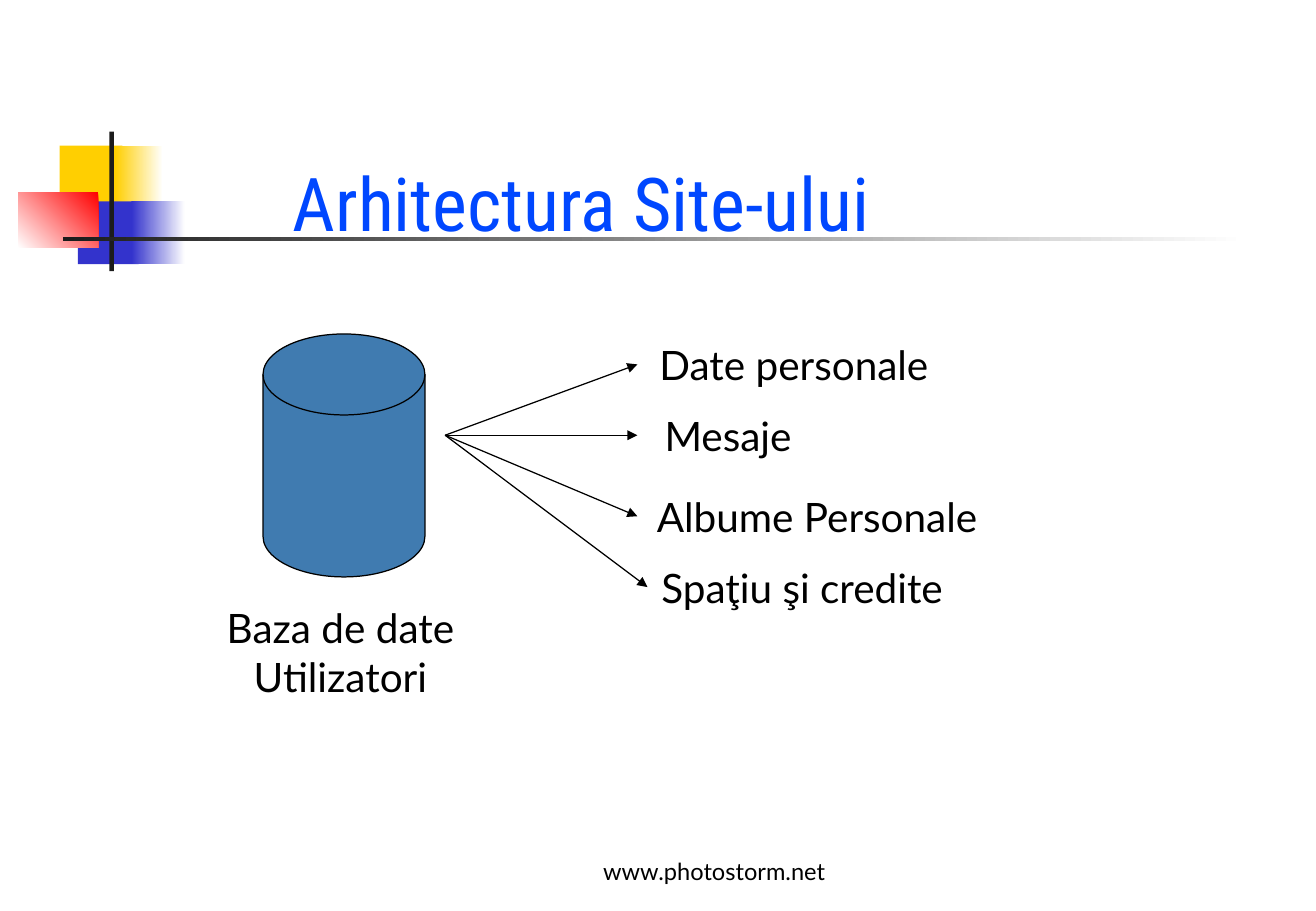
from pptx import Presentation
from pptx.dml.color import RGBColor
from pptx.enum.shapes import MSO_CONNECTOR as Connector, MSO_SHAPE as Shape
from pptx.enum.text import MSO_ANCHOR as Anchor, PP_ALIGN as Align
from pptx.oxml.ns import qn
from pptx.util import Inches, Pt
from lxml.etree import SubElement

WHITE = RGBColor(0xFF, 0xFF, 0xFF)
BLACK = RGBColor(0, 0, 0)
YELLOW = RGBColor(0xFF, 0xCF, 0x01)
INDIGO = RGBColor(0x33, 0x33, 0xCC)
RED = RGBColor(0xFF, 0, 0)
CHARCOAL = RGBColor(0x1C, 0x1C, 0x1C)
TITLE_BLUE = RGBColor(0, 0x47, 0xFF)
DISK_BLUE = RGBColor(0x40, 0x7B, 0xB0)

TITLE = "Arhitectura Site-ului"
DATABASE = ["Baza de date", "Utilizatori"]
FOOTER = "www.photostorm.net"

# text, arrow end (column, row), label column, label width
BRANCHES = [
    ("Date personale", (63, 36), 64, 31),
    ("Mesaje", (63, 43), 64.5, 15.7),
    ("Albume Personale", (63, 51), 63.75, 36.6),
    ("Spaţiu şi credite", (64, 58), 64.2, 32.3),
]
# left, top, width, height, colour, fade angle
ORNAMENTS = [
    (5.9, 14.4, 6.2, 6.2, YELLOW, None),
    (11.4, 14.4, 4.7, 6.2, YELLOW, 0),
    (7.7, 19.9, 6, 6.2, INDIGO, None),
    (13, 19.9, 5.3, 6.2, INDIGO, 0),
    (1.8, 19, 7.9, 5.5, RED, 225),
    (10.8, 13, 0.45, 13.8, CHARCOAL, None),
    (6.25, 23.4, 117, 0.4, CHARCOAL, 0),
]
CELL = Inches(1) / 12
HUB = (44, 43)
LABEL_HEIGHT = 6


def grid(*cells):
    return [round(cell * CELL) for cell in cells]


def add_block(page, kind, area, color, fade=None):
    block = page.shapes.add_shape(kind, *grid(*area))
    block.shadow.inherit = False
    block.line.fill.background()
    if fade is None:
        block.fill.solid()
        block.fill.fore_color.rgb = color
    else:
        block.fill.gradient()
        block.fill.gradient_angle = fade
        for stop, shade in zip(block.fill.gradient_stops, (color, WHITE)):
            stop.color.rgb = shade
    return block


def add_text(page, lines, area, size=24, font="Lato", color=BLACK,
             align=Align.CENTER, anchor=Anchor.TOP, wrap=False):
    box = page.shapes.add_textbox(*grid(*area))
    frame = box.text_frame
    frame.word_wrap = wrap
    frame.vertical_anchor = anchor
    frame.text = "\n".join(lines)
    for para in frame.paragraphs:
        para.alignment = align
        para.font.size = Pt(size)
        para.font.name = font
        para.font.color.rgb = color


def add_arrow(page, start, end):
    arrow = page.shapes.add_connector(Connector.STRAIGHT, *grid(*start, *end))
    arrow.line.color.rgb = BLACK
    arrow.line.width = Pt(0.75)
    SubElement(arrow.line._get_or_add_ln(), qn("a:tailEnd"), type="triangle")
    SubElement(arrow._element.spPr, qn("a:effectLst"))


def main():
    deck = Presentation()
    deck.slide_width, deck.slide_height = Inches(10.84), Inches(7.5)
    page = deck.slides.add_slide(deck.slide_layouts[6])

    for *area, color, fade in ORNAMENTS:
        add_block(page, Shape.RECTANGLE, area, color, fade)
    add_text(page, [TITLE], (15, 15, 85, 7), size=44,
             font="Roboto Condensed", color=TITLE_BLUE)

    disk = add_block(page, Shape.FLOWCHART_MAGNETIC_DISK, (26, 33, 16, 24), DISK_BLUE)
    disk.line.color.rgb = BLACK
    disk.line.width = Pt(0.75)
    add_text(page, DATABASE, (20.4, 59, 26.5, 10.8))

    for text, end, column, width in BRANCHES:
        add_arrow(page, HUB, end)
        label_row = end[1] - LABEL_HEIGHT / 2
        add_text(page, [text], (column, label_row, width, LABEL_HEIGHT), align=Align.LEFT)

    add_text(page, [FOOTER], (50, 82, 41.2, LABEL_HEIGHT), size=14,
             anchor=Anchor.BOTTOM, wrap=True)
    deck.save("out.pptx")


if __name__ == "__main__":
    main()
